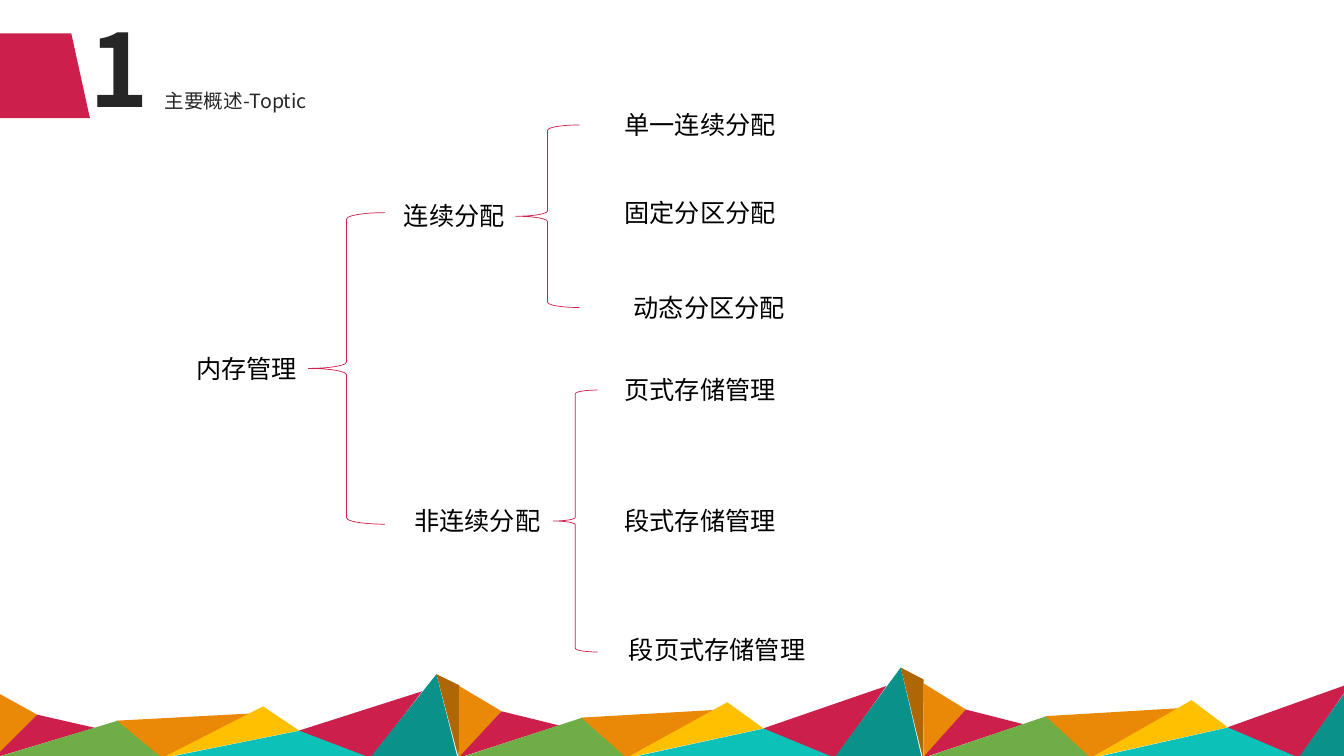
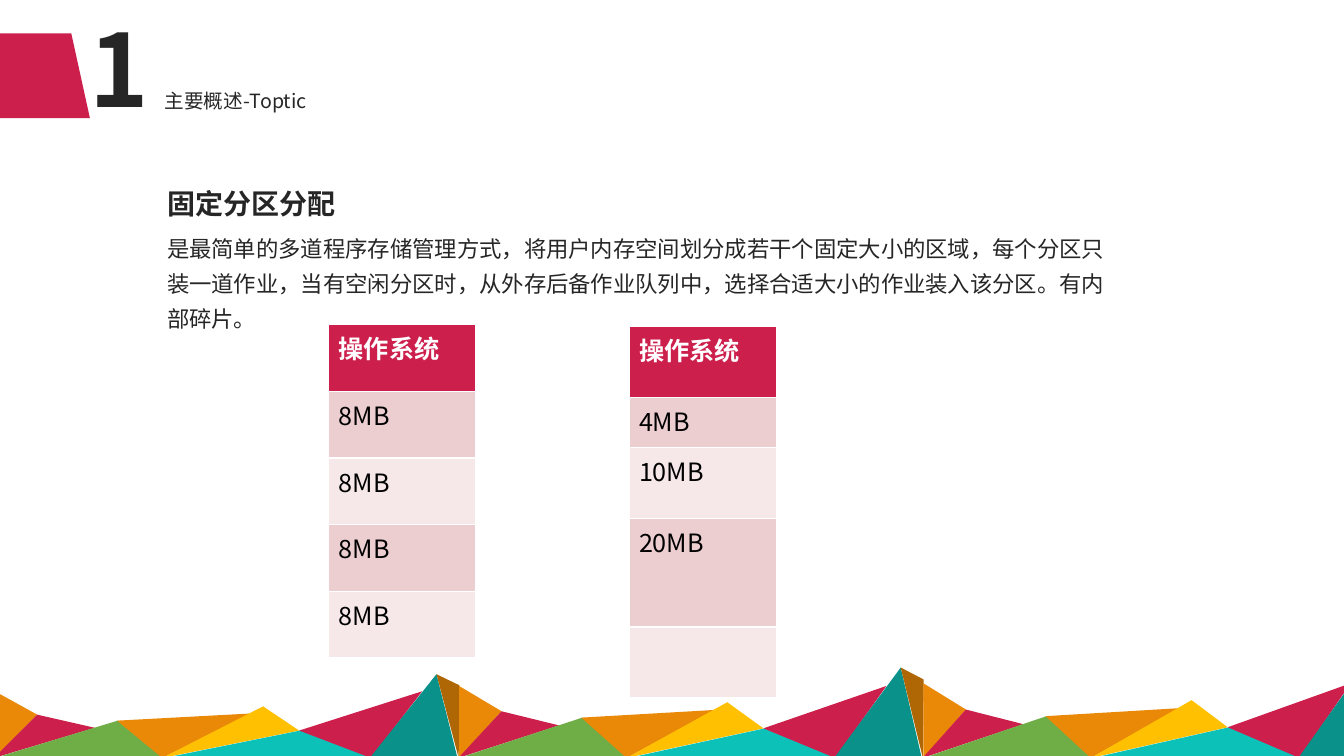
from lxml.etree import SubElement
from pptx import Presentation
from pptx.dml.color import RGBColor
from pptx.enum.shapes import MSO_SHAPE
from pptx.enum.text import MSO_ANCHOR, MSO_AUTO_SIZE
from pptx.oxml.ns import qn
from pptx.util import Cm, Pt

FONT = "Noto Sans CJK SC"
RED, ORANGE, GREEN, GOLD = "CC1F4C", "EA8807", "6FAD46", "FEC001"
CYAN, TEAL, BROWN = "0CC1B8", "09918A", "AF6605"
INK, BLACK, WHITE = "262626", "000000", "FFFFFF"
BANDS = ("ECCDD0", "F6E8E9")

BASE, STEP = 19.1, 11.7
RISES = (1, 1.08, 1.12)
PEAKS = [
    (ORANGE, [(-0.13, 0), (-0.13, 1.68), (0.94, 1.09)]),
    (RED, [(-0.15, 0), (0.94, 1.09), (2.39, 0.76)]),
    (GREEN, [(-0.13, 0), (2.97, 0.94), (4.14, 0)]),
    (ORANGE, [(2.95, 0.94), (6.32, 1.12), (4.09, 0)]),
    (GOLD, [(7.54, 0.69), (4.09, 0), (6.63, 1.3)]),
    (CYAN, [(9.4, 0), (4.14, 0), (7.57, 0.69)]),
    (RED, [(9.35, 0), (7.54, 0.69), (10.64, 1.68)]),
    (TEAL, [(11.53, 0), (9.32, 0), (11, 2.11)]),
    (BROWN, [(11.58, 1.83), (11.56, 0), (11, 2.11)]),
]

BRACES = [(7.77, 5.36, 1.93, 7.85), (13, 3.15, 1.6, 4.6), (13.94, 9.83, 1.12, 6.6)]
NODES = [
    ("内存管理", 4.7, 8.79, 3.07),
    ("连续分配", 9.93, 4.93, 3.07),
    ("非连续分配", 10.19, 12.6, 3.84),
    ("单一连续分配", 15.49, 2.64, 4.37),
    ("固定分区分配", 15.49, 4.85, 4.37),
    ("动态分区分配", 15.72, 7.24, 4.37),
    ("页式存储管理", 15.49, 9.3, 4.37),
    ("段式存储管理", 15.49, 12.6, 4.37),
    ("段页式存储管理", 15.6, 15.85, 5),
]


def tint(code):
    return RGBColor.from_string(code)


class Deck:
    def __init__(self):
        self.prs = Presentation()
        self.prs.slide_width, self.prs.slide_height = Cm(33.87), Cm(19.05)

    def page(self, num, head):
        self.slide = self.prs.slides.add_slide(self.prs.slide_layouts[5])
        self.shapes = self.slide.shapes
        self.range()
        flag = self.paint(self.shapes.add_shape(
            MSO_SHAPE.FLOWCHART_MANUAL_INPUT, Cm(0.03), Cm(0.74), Cm(2.13), Cm(2.34)), RED)
        flag.rotation = 90
        mark = self.label(num, 2, 0.64, 1.88, 2.51, 72, INK, True, 0.9)
        mark.text_frame.auto_size = MSO_AUTO_SIZE.NONE
        mark.text_frame.vertical_anchor = MSO_ANCHOR.MIDDLE
        self.title(head)

    def title(self, text):
        box = self.shapes.title
        box.left, box.top, box.width, box.height = Cm(3.89), Cm(2.18), Cm(8.76), Cm(0.97)
        frame = box.text_frame
        frame.text = text
        frame.word_wrap = True
        frame.auto_size = MSO_AUTO_SIZE.NONE
        frame.vertical_anchor = MSO_ANCHOR.TOP
        frame.paragraphs[0].alignment = 1
        self.style(frame, 14, INK, False, 0.9)

    def style(self, frame, size, color, bold=False, gap=None):
        for para in frame.paragraphs:
            para.line_spacing = gap
            for run in para.runs:
                font = run.font
                font.name, font.size, font.bold = FONT, Pt(size), bold
                font.color.rgb = tint(color)
                SubElement(font._element, qn("a:ea")).set("typeface", FONT)

    def paint(self, shape, color):
        shape.shadow.inherit = False
        shape.fill.solid()
        shape.fill.fore_color.rgb = tint(color)
        shape.line.fill.background()
        return shape

    def range(self):
        for turn, rise in enumerate(RISES):
            last = turn == len(RISES) - 1
            for color, spots in PEAKS[:-1] if last else PEAKS:
                dots = [(Cm(x + turn * STEP), Cm(BASE - y * rise)) for x, y in spots]
                pen = self.shapes.build_freeform(*dots[0])
                pen.add_line_segments(dots[1:])
                self.paint(pen.convert_to_shape(), color)

    def label(self, text, x, y, w, h, size, color, bold=False, gap=None, wrap=False):
        box = self.shapes.add_textbox(Cm(x), Cm(y), Cm(w), Cm(h))
        frame = box.text_frame
        frame.text = text
        frame.word_wrap = wrap
        frame.auto_size = MSO_AUTO_SIZE.SHAPE_TO_FIT_TEXT
        self.style(frame, size, color, bold, gap)
        return box

    def brace(self, x, y, w, h):
        shape = self.shapes.add_shape(MSO_SHAPE.LEFT_BRACE, Cm(x), Cm(y), Cm(w), Cm(h))
        shape.shadow.inherit = False
        shape.fill.background()
        shape.line.color.rgb = tint(RED)
        shape.line.width = Pt(0.5)

    def table(self, x, y, w, rows):
        high = sum(tall for text, tall in rows)
        grid = self.shapes.add_table(len(rows), 1, Cm(x), Cm(y), Cm(w), Cm(high)).table
        for row, (text, tall) in enumerate(rows):
            grid.rows[row].height = Cm(tall)
            cell = grid.cell(row, 0)
            cell.text = text
            cell.fill.solid()
            cell.fill.fore_color.rgb = tint(BANDS[(row - 1) % 2] if row else RED)
            self.style(cell.text_frame, 18, BLACK if row else WHITE, not row)


def main():
    deck = Deck()
    head = "主要概述-Toptic"

    deck.page("1", head)
    for spot in BRACES:
        deck.brace(*spot)
    for text, x, y, w in NODES:
        deck.label(text, x, y, w, 1.02, 18, BLACK)

    deck.page("1", head)
    deck.label(
        "是最简单的多道程序存储管理方式，将用户内存空间划分成若干个固定大小的区域，"
        "每个分区只装一道作业，当有空闲分区时，从外存后备作业队列中，"
        "选择合适大小的作业装入该分区。有内部碎片。",
        3.96, 5.59, 24.21, 2.84, 16, INK, gap=1.3, wrap=True)
    deck.label("固定分区分配", 3.96, 4.14, 4.78, 1.4, 20, INK, True, 1.5)
    deck.table(8.28, 8.18, 3.71, [("操作系统", 1.68)] + [("8MB", 1.68)] * 4)
    deck.table(15.85, 8.23, 3.71, [
        ("操作系统", 1.78), ("4MB", 1.27), ("10MB", 1.78), ("20MB", 2.74), ("", 1.78)])

    deck.prs.save("out.pptx")


if __name__ == "__main__":
    main()
